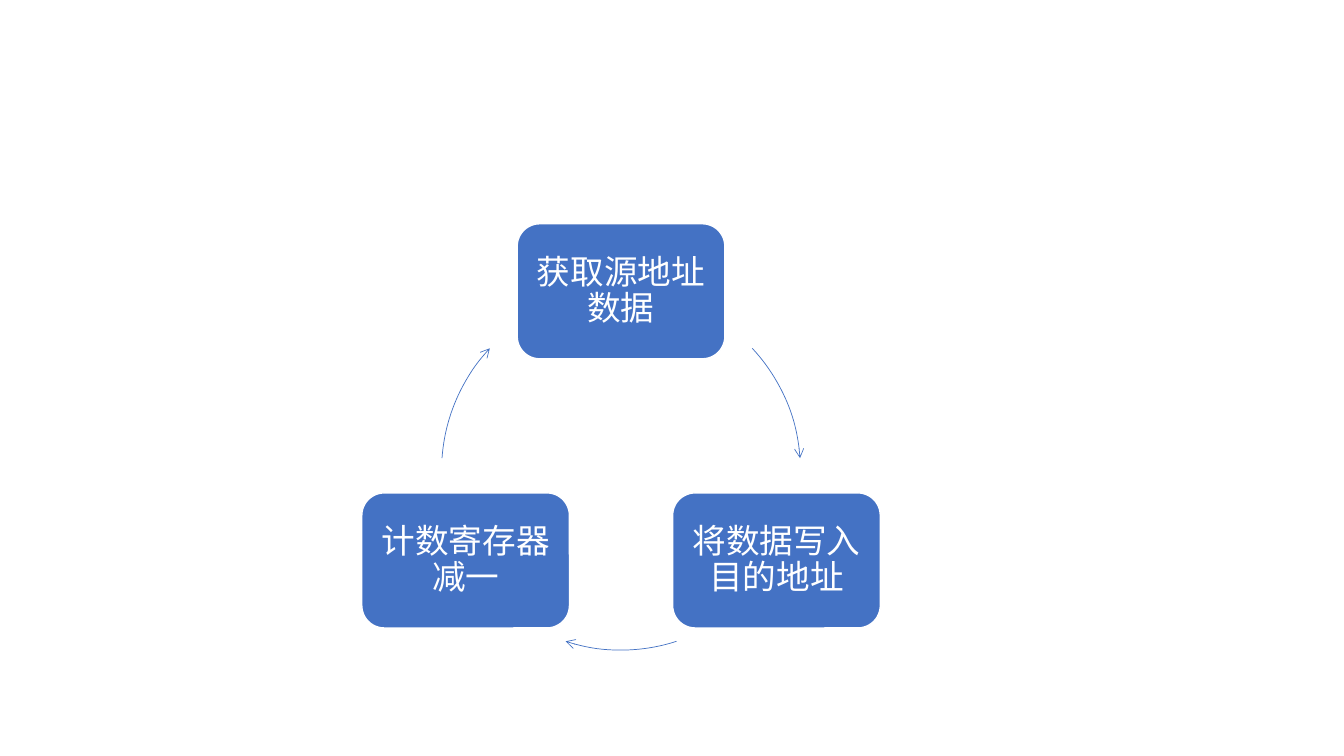
import math

from lxml import etree
from pptx import Presentation
from pptx import util as u
from pptx.dml.color import RGBColor
from pptx.enum import shapes, text
from pptx.oxml.ns import qn

# Content: each step, then the start and end angle of the arc that follows it
STEPS = [
    ("获取源地址数据", 317, 356),
    ("将数据写入目的地址", 72, 108),
    ("计数寄存器减一", 184, 223),
]
FONT = "Noto Sans CJK SC"
BLUE, WHITE = "4472C4", "FFFFFF"

# Layout in px, 100 to the inch
PX = u.Inches(1) // 100
SLIDE_W, SLIDE_H = 1333, 750
CENTER_X, CENTER_Y, RADIUS = 616, 467, 178
BOX_W, BOX_H, INSET = 206, 134, 10


def px(*lengths):
    return [round(n * PX) for n in lengths]


def color(value):
    return RGBColor.from_string(value)


def add_step(slide, label, x, y):
    s = slide.shapes.add_shape(
        shapes.MSO_SHAPE.ROUNDED_RECTANGLE,
        *px(x - BOX_W / 2, y - BOX_H / 2, BOX_W, BOX_H))
    s.shadow.inherit = False
    s.fill.solid()
    s.fill.fore_color.rgb = color(BLUE)
    s.line.color.rgb = color(WHITE)
    s.line.width = u.Pt(1)
    tf = s.text_frame
    tf.word_wrap = True
    tf.vertical_anchor = text.MSO_ANCHOR.MIDDLE
    tf.margin_left, tf.margin_top, tf.margin_right, tf.margin_bottom = px(*[INSET] * 4)
    tf.text = label
    p = tf.paragraphs[0]
    p.alignment = text.PP_ALIGN.CENTER
    p.line_spacing = 0.9
    p.space_after = u.Pt(8.4)
    r = p.runs[0]
    r.font.size = u.Pt(24)
    r.font.name = FONT
    r.font.color.rgb = color(WHITE)
    etree.SubElement(r.font._element, qn("a:ea"), typeface=FONT)


def add_arc(slide, start, end):
    s = slide.shapes.add_shape(
        shapes.MSO_SHAPE.ARC,
        *px(CENTER_X - RADIUS, CENTER_Y - RADIUS, 2 * RADIUS, 2 * RADIUS))
    s.shadow.inherit = False
    # Arc adjustments count 0.6 per degree
    for i, angle in enumerate((start, end)):
        s.adjustments[i] = angle * 0.6
    s.fill.background()
    s.line.color.rgb = color(BLUE)
    s.line.width = u.Pt(0.5)
    etree.SubElement(s.line._get_or_add_ln(), qn("a:tailEnd"), type="arrow")


def main():
    prs = Presentation()
    prs.slide_width, prs.slide_height = px(SLIDE_W, SLIDE_H)
    slide = prs.slides.add_slide(prs.slide_layouts[6])

    # Steps sit evenly round the circle, the first at the top
    for i, (label, start, end) in enumerate(STEPS):
        angle = math.radians(360 / len(STEPS) * i - 90)
        add_step(slide, label,
                 CENTER_X + RADIUS * math.cos(angle),
                 CENTER_Y + RADIUS * math.sin(angle))
        add_arc(slide, start, end)

    prs.save("out.pptx")


if __name__ == "__main__":
    main()
